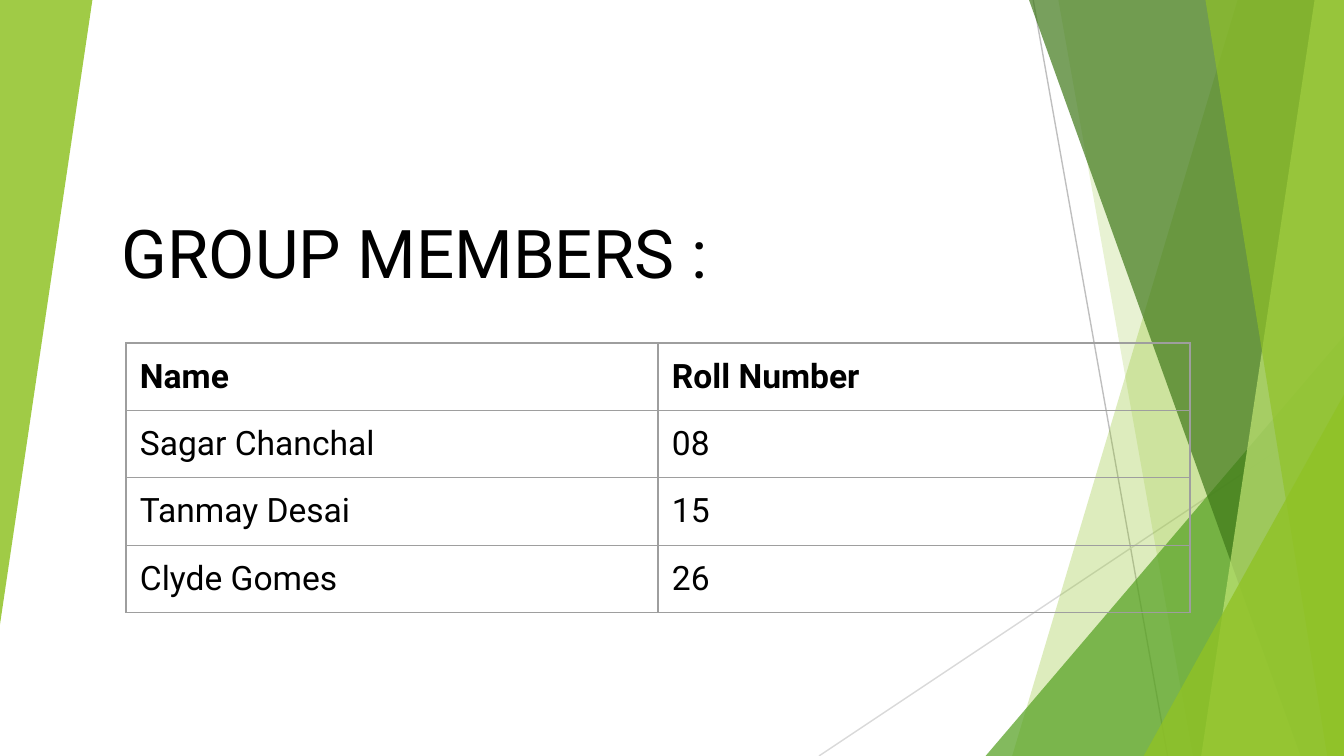
import pptx
import pptx.dml.color
import pptx.enum.shapes
import pptx.enum.text
import pptx.oxml
import pptx.oxml.ns
import pptx.util

PX = 9525  # EMU per px, 96 px to the inch
WIDTH, HEIGHT = 960, 540
INSET = 10 * PX

THEME = {
    "font": "Roboto", "title_size": 36, "table_size": 18, "text": "000000",
    "lime": "90C226", "pale": "C0E474", "green": "54A021", "dark": "3F7819",
    "steep_line": "BFBFBF", "flat_line": "D9D9D9", "border": "9E9E9E",
}


def paint(shape, color, opacity):
    """Give a shape a translucent fill, with no line and no shadow."""
    shape.shadow.inherit = False
    shape.line.fill.background()
    shape.fill.solid()
    shape.fill.fore_color.rgb = pptx.dml.color.RGBColor.from_string(THEME[color])
    for rgb in shape.fill._xPr.iter(pptx.oxml.ns.qn("a:srgbClr")):
        alpha = pptx.oxml.parse_xml(f'<a:alpha {pptx.oxml.ns.nsdecls("a")} val="{opacity * 1000}"/>')
        rgb.append(alpha)


def set_font(paragraph, size, bold=False):
    paragraph.font.name = THEME["font"]
    paragraph.font.size = pptx.util.Pt(size)
    paragraph.font.bold = bold
    paragraph.font.color.rgb = pptx.dml.color.RGBColor.from_string(THEME["text"])


deck = pptx.Presentation()
deck.slide_width, deck.slide_height = WIDTH * PX, HEIGHT * PX
slide = deck.slides.add_slide(deck.slide_layouts[0])
subtitle = slide.placeholders[1].element
subtitle.getparent().remove(subtitle)

# Thin background lines
for x1, y1, x2, y2, color in [
    (738, 0, 834, HEIGHT, "steep_line"),
    (WIDTH, 290, 585, HEIGHT, "flat_line"),
]:
    ray = slide.shapes.add_connector(
        pptx.enum.shapes.MSO_CONNECTOR.STRAIGHT, x1 * PX, y1 * PX, x2 * PX, y2 * PX)
    ray.line.width = pptx.util.Pt(0.75)
    ray.line.color.rgb = pptx.dml.color.RGBColor.from_string(THEME[color])
    ray.element.spPr.append(
        pptx.oxml.parse_xml(f'<a:effectLst {pptx.oxml.ns.nsdecls("a")}/>'))

# Facets, back to front. A band runs from its slanted left edge (top x, bottom x)
# to the right side of the slide; a wedge is a right triangle (left, top, width, height, turn).
for kind, place, color, opacity in [
    ("band", (884, 723), "lime", 30),
    ("band", (756, 852), "lime", 20),
    ("wedge", (704, 240, 256, 300, 0), "green", 72),
    ("band", (735, 929), "dark", 70),
    ("band", (939, 858), "pale", 70),
    ("band", (861, 948), "lime", 65),
    ("wedge", (817, 282, 143, 258, 0), "lime", 80),
    ("wedge", (0, 0, 66, 446, 180), "lime", 85),
]:
    if kind == "band":
        top_x, bottom_x = place
        outline = slide.shapes.build_freeform(top_x, 0, scale=PX)
        outline.add_line_segments([(WIDTH, 0), (WIDTH, HEIGHT), (bottom_x, HEIGHT)])
        facet = outline.convert_to_shape()
    else:
        *box, turn = place
        facet = slide.shapes.add_shape(
            pptx.enum.shapes.MSO_SHAPE.ISOSCELES_TRIANGLE, *[side * PX for side in box])
        facet.adjustments[0] = 1
        facet.rotation = turn
    paint(facet, color, opacity)

# Title, brought in front of the facets
title = slide.shapes.title
title.element.getparent().append(title.element)
title.left, title.top, title.width, title.height = [side * PX for side in (77, 139, 807, 72)]
heading = title.text_frame
heading.text = "GROUP MEMBERS :"
heading.word_wrap = True
heading.auto_size = pptx.enum.text.MSO_AUTO_SIZE.NONE
heading.vertical_anchor = pptx.enum.text.MSO_ANCHOR.TOP
heading.margin_left = heading.margin_right = heading.margin_bottom = INSET
heading.margin_top = 12 * PX
heading.paragraphs[0].alignment = pptx.enum.text.PP_ALIGN.LEFT
set_font(heading.paragraphs[0], THEME["title_size"])

# Members table
members = [
    ("Name", "Roll Number"),
    ("Sagar Chanchal", "08"),
    ("Tanmay Desai", "15"),
    ("Clyde Gomes", "26"),
]
roster = slide.shapes.add_table(
    len(members), 2, 90 * PX, 245 * PX, 760 * PX, 47 * len(members) * PX).table
roster.first_row = roster.horz_banding = False
for row, member in enumerate(members):
    for column, entry in enumerate(member):
        cell = roster.cell(row, column)
        cell.text = entry
        cell.margin_left = cell.margin_right = cell.margin_top = cell.margin_bottom = INSET
        cell.fill.background()
        set_font(cell.text_frame.paragraphs[0], THEME["table_size"], bold=row == 0)
        for position, side in enumerate("LRTB"):
            border = pptx.oxml.parse_xml(
                f'<a:ln{side} {pptx.oxml.ns.nsdecls("a")} w="{pptx.util.Pt(0.75)}"><a:solidFill>'
                f'<a:srgbClr val="{THEME["border"]}"/></a:solidFill></a:ln{side}>')
            cell._tc.get_or_add_tcPr().insert(position, border)

deck.save("out.pptx")
